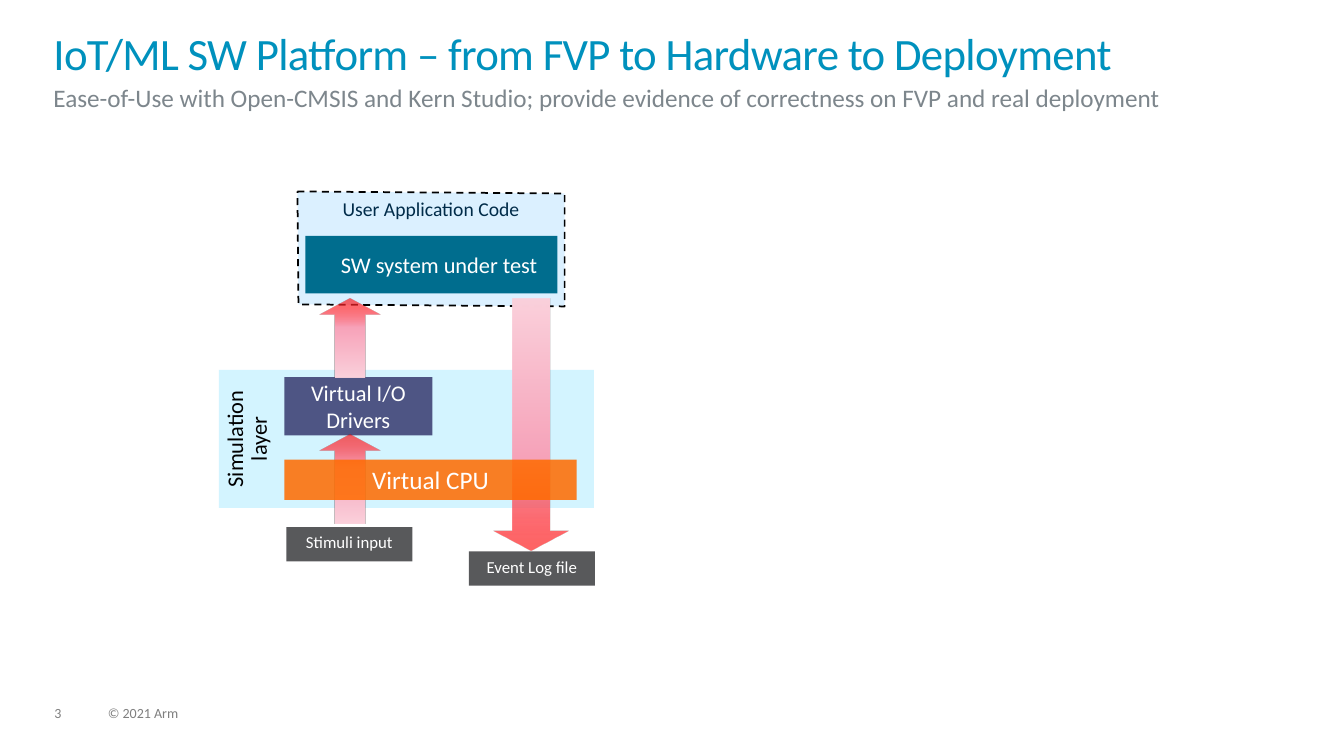
from dataclasses import dataclass
from lxml.etree import SubElement
from pptx import Presentation
from pptx.dml.color import RGBColor as RGB
from pptx.enum.dml import MSO_LINE as Dash
from pptx.enum.shapes import MSO_SHAPE as Kind
from pptx.enum.text import MSO_ANCHOR as Anchor, PP_ALIGN as Align
from pptx.oxml import parse_xml
from pptx.oxml.ns import nsdecls, qn
from pptx.util import Pt

PX = 9144


@dataclass(frozen=True)
class Theme:
    font: str = "Calibri"
    title: str = "0091BD"
    lead: str = "7D868C"
    foot: str = "7F7F7F"
    navy: str = "002B49"
    black: str = "000000"
    white: str = "FFFFFF"
    app: str = "D3EDFF"
    layer: str = "7FE1FF"
    teal: str = "006D8E"
    plum: str = "4E5584"
    orange: str = "FF6B00"
    grey: str = "58595B"
    fade: tuple = (("FBD1DC", 100), ("F8A2B9", 100), ("FF0000", 60))
    huge: int = 32
    large: int = 18
    mid: int = 16
    base: int = 14
    small: int = 12
    tiny: int = 10


class Board:
    def __init__(self, deck, theme):
        self.theme = theme
        self.slide = deck.slides.add_slide(deck.slide_layouts[6])
        self.shapes = self.slide.shapes

    def letter(self, shape, text, size, color, align=Align.CENTER,
               anchor=Anchor.TOP, pad=(10, 5, 10, 5), space=None, track=0, turn=None):
        frame = shape.text_frame
        left, top, right, low = (n * PX for n in pad)
        look = {"word_wrap": True, "vertical_anchor": anchor, "margin_left": left,
                "margin_top": top, "margin_right": right, "margin_bottom": low}
        for name, value in look.items():
            setattr(frame, name, value)
        para = frame.paragraphs[0]
        para.alignment, para.line_spacing = align, space
        run = para.add_run()
        run.text = text
        for name, value in {"name": self.theme.font, "size": Pt(size)}.items():
            setattr(run.font, name, value)
        run.font.color.rgb = RGB.from_string(color)
        if track:
            run.font._element.set("spc", str(track))
        if turn:
            frame._txBody.bodyPr.set("vert", turn)

    def paint(self, shape, color, alpha=100):
        shape.shadow.inherit = False
        shape.fill.solid()
        shape.fill.fore_color.rgb = RGB.from_string(color)
        shape.line.fill.background()
        if alpha < 100:
            tone = shape._element.spPr.find(".//" + qn("a:srgbClr"))
            SubElement(tone, qn("a:alpha"), val=str(alpha * 1000))

    def label(self, box, text, size, color, **style):
        shape = self.shapes.add_textbox(*(n * PX for n in box))
        self.letter(shape, text, size, color, Align.LEFT, pad=(0, 0, 0, 0), **style)

    def block(self, box, fill, text, size, color=None, alpha=100, **style):
        shape = self.shapes.add_shape(Kind.RECTANGLE, *(n * PX for n in box))
        self.paint(shape, fill, alpha)
        self.letter(shape, text, size, color or self.theme.white, **style)

    def frame(self, points, fill, text, size, color, alpha):
        pen = self.shapes.build_freeform(*points[0], scale=PX)
        pen.add_line_segments(points[1:], close=True)
        shape = pen.convert_to_shape()
        self.paint(shape, fill, alpha)
        shape.line.color.rgb = RGB.from_string(self.theme.black)
        for name, value in {"width": Pt(1.25), "dash_style": Dash.DASH}.items():
            setattr(shape.line, name, value)
        self.letter(shape, text, size, color)

    def arrow(self, box, up=False):
        kind = Kind.UP_ARROW if up else Kind.DOWN_ARROW
        shape = self.shapes.add_shape(kind, *(n * PX for n in box))
        shape.adjustments[0], shape.adjustments[1] = 0.5, 0.27
        shape.shadow.inherit = False
        shape.line.fill.background()
        stops = list(zip((0, 64, 100), self.theme.fade))
        if up:
            stops = [(100 - spot, tone) for spot, tone in reversed(stops)]
        marks = "".join(
            f'<a:gs pos="{spot * 1000}"><a:srgbClr val="{color}">'
            f'<a:alpha val="{alpha * 1000}"/></a:srgbClr></a:gs>'
            for spot, (color, alpha) in stops)
        shape._element.spPr.insert(2, parse_xml(
            f'<a:gradFill {nsdecls("a")} rotWithShape="1"><a:gsLst>{marks}</a:gsLst>'
            '<a:lin ang="5400000" scaled="0"/></a:gradFill>'))


def main():
    deck = Presentation()
    deck.slide_width, deck.slide_height = 1333 * PX, 750 * PX
    look = Theme()
    board = Board(deck, look)

    for left, width, text in ((54, 34, "3"), (107, 507, "© 2021 Arm")):
        board.label((left, 701, width, 15), text, look.tiny, look.foot, space=0.9)
    board.frame(((295, 190), (560, 192), (560, 304), (296, 302)), look.app,
                "User Application Code", look.base, look.navy, 80)
    board.label((53, 34, 1228, 56), "IoT/ML SW Platform – from FVP to Hardware to Deployment",
                look.huge, look.title, space=0.85, track=-50)
    board.label((53, 82, 1228, 38), "Ease-of-Use with Open-CMSIS and Kern Studio; "
                "provide evidence of correctness on FVP and real deployment",
                look.large, look.lead)

    board.block((217, 367, 372, 137), look.layer, "Simulation layer", look.mid, look.black,
                alpha=34, pad=(10, 5, 0, 5), space=Pt(17), turn="vert270")
    board.arrow((490, 296, 74, 250))
    board.block((303, 234, 250, 57), look.teal, "SW system under test", look.mid,
                anchor=Anchor.MIDDLE, pad=(25, 5, 10, 5))
    board.block((282, 374, 147, 58), look.plum, "Virtual I/O Drivers", look.mid,
                anchor=Anchor.MIDDLE, pad=(4, 5, 4, 5))
    for top, height in ((296, 78), (431, 88)):
        board.arrow((317, top, 60, height), up=True)
    board.block((282, 456, 290, 40), look.orange, "Virtual CPU", look.large, alpha=86)
    for left, top, text in ((284, 523, "Stimuli input"), (465, 547, "Event Log file")):
        board.block((left, top, 125, 34), look.grey, text, look.small)

    deck.save("out.pptx")


if __name__ == "__main__":
    main()
